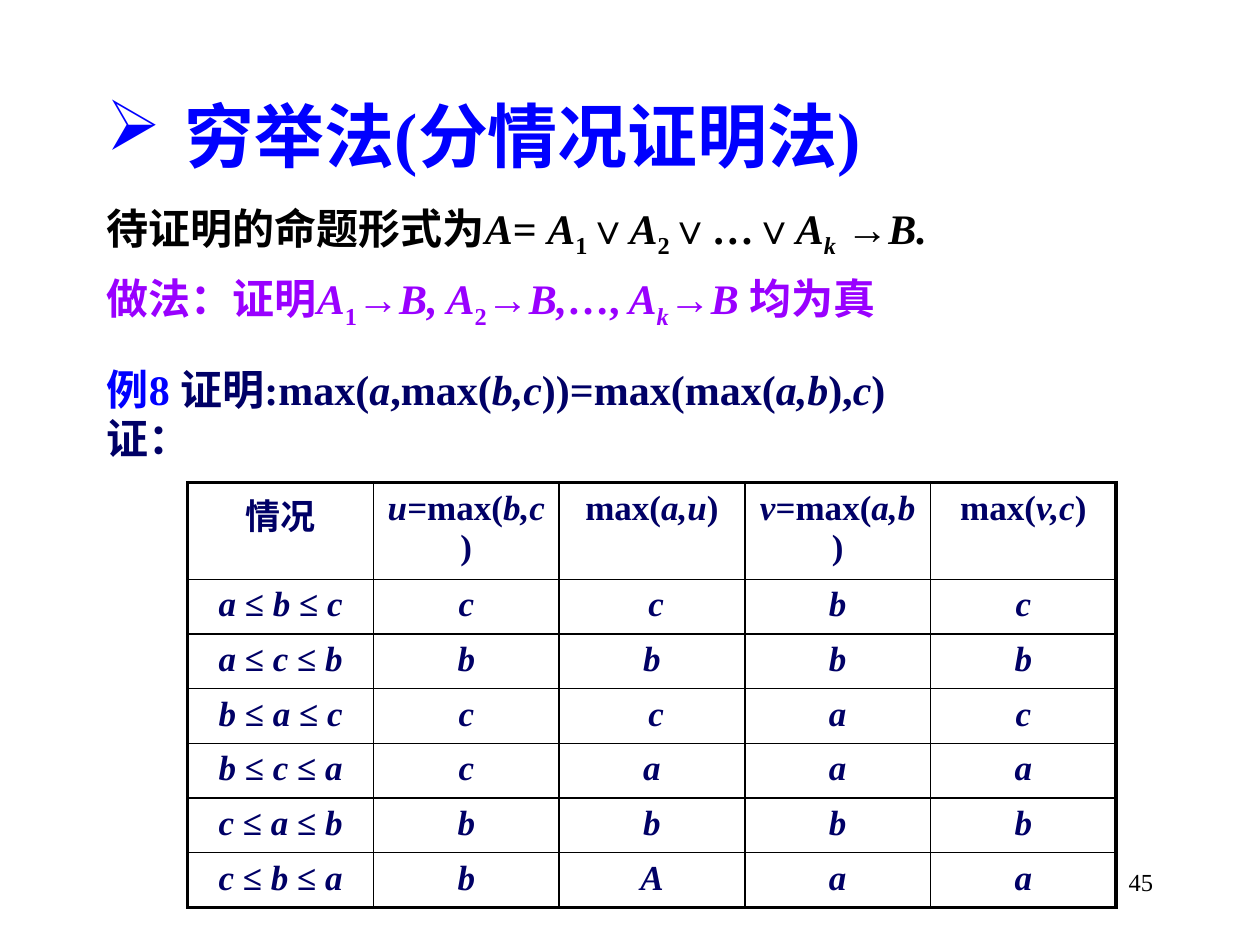
from pptx import Presentation
from pptx import util as u
from pptx.dml.color import RGBColor
from pptx.enum import text as t
from pptx.oxml import parse_xml
from pptx.oxml.ns import nsdecls

THEME = dict(font="Times New Roman", blue="0000FF", navy="000066",
             violet="9900FF", black="000000", white="FFFFFF",
             title=40, body=24, cell=20, page=14, thin=1, thick=2.25)

# Content: *...* is italic, _..._ is subscript
TITLE = "穷举法(分情况证明法)"
PAGE = "45"
METHOD = [
    [("black", "待证明的命题形式为*A*= *A*_1_∨*A*_2_∨…∨*A_k_* →*B.*")],
    [("violet", "做法：证明*A*_1_→*B, A*_2_→*B,*…,* A_k_*→*B *均为真")],
]
SAMPLE = [
    [("blue", "例8 "),
     ("navy", "证明:max(*a*,max(*b,c*))=max(max(*a,b*),*c*)")],
    [("navy", "证：")],
]
HEAD = ["情况", "*u=*max(*b,c*)", "max(*a,u*)", "*v=*max(*a,b*)", "max(*v,c*)"]
CASES = [
    ("abc", ["c", " c", "b", "c"]),
    ("acb", ["b", "b", "b", "b"]),
    ("bac", ["c", " c", "a", "c"]),
    ("bca", ["c", "a", "a", "a"]),
    ("cab", ["b", "b", "b", "b"]),
    ("cba", ["b", "A", "a", "a"]),
]


def style(font, size, color, bold=True):
    font.name, font.size, font.bold = THEME["font"], u.Pt(size), bold
    font.color.rgb = RGBColor.from_string(THEME[color])


def split(line):
    """Yield (text, italic, subscript) for each stretch of a marked line."""
    part, on = "", {"*": False, "_": False}
    for ch in line:
        if ch not in on:
            part += ch
            continue
        if part:
            yield part, on["*"], on["_"]
        part, on[ch] = "", not on[ch]
    if part:
        yield part, on["*"], on["_"]


def write(para, line, color=None):
    for part, slant, sub in split(line):
        run = para.add_run()
        run.text = part
        run.font.italic = slant
        if color:
            run.font.color.rgb = RGBColor.from_string(THEME[color])
        if sub:
            run.font._element.set("baseline", "-25000")


def box(left, top, wide, high):
    frame = slide.shapes.add_textbox(*map(u.Inches, (left, top, wide, high))).text_frame
    frame.word_wrap = True
    return frame


def indent(para, size):
    props = para._p.get_or_add_pPr()
    props.set("marL", str(u.Inches(size)))
    props.set("indent", str(-u.Inches(size)))
    return props


def block(top, lines, gap):
    frame = box(0.75, top, 8.5, 1.32)
    for n, line in enumerate(lines):
        para = frame.add_paragraph() if n else frame.paragraphs[0]
        style(para.font, THEME["body"], line[0][0])
        para.line_spacing = 0.9
        para.space_before = u.Pt(gap if n else 0)
        indent(para, 0.38)
        for color, part in line:
            write(para, part, color)


def border(cell, sides):
    props = cell._tc.get_or_add_tcPr()
    for n, (side, width) in enumerate(sides):
        props.insert(n, parse_xml(
            f'<a:ln{side} {nsdecls("a")} w="{u.Pt(width)}"><a:solidFill>'
            f'<a:srgbClr val="{THEME["black"]}"/></a:solidFill></a:ln{side}>'))


deck = Presentation()
deck.slide_width, deck.slide_height = u.Inches(10), u.Inches(7.5)
slide = deck.slides.add_slide(deck.slide_layouts[6])

# Page number
para = box(7.17, 6.83, 2.08, 0.5).paragraphs[0]
para.alignment = t.PP_ALIGN.RIGHT
style(para.font, THEME["page"], "black", False)
write(para, PAGE, "black")

# Title with arrow bullet
frame = box(0.75, 0.44, 8.5, 1.25)
frame.vertical_anchor = t.MSO_ANCHOR.MIDDLE
para = frame.paragraphs[0]
style(para.font, THEME["title"], "blue")
indent(para, 0.62).insert(0, parse_xml(f'<a:buChar {nsdecls("a")} char="➢"/>'))
write(para, TITLE, "blue")

# Method
block(1.56, METHOD, 11)

# Table of cases
rows = [HEAD] + [[f"*{' ≤ '.join(order)}*".replace("≤", "*≤*")]
                 + [f"*{val}*" for val in vals] for order, vals in CASES]
tall, wide = len(rows), len(HEAD)
grid = slide.shapes.add_table(tall, wide, u.Inches(1.49), u.Inches(3.83),
                              u.Inches(7.37), u.Inches(3.15)).table
grid.first_row = grid.horz_banding = False
for r, row in enumerate(rows):
    grid.rows[r].height = u.Inches(0.43 if r else 0.55)
    for c, line in enumerate(row):
        cell = grid.cell(r, c)
        cell.fill.solid()
        cell.fill.fore_color.rgb = RGBColor.from_string(THEME["white"])
        edges = (("L", c == 0), ("R", c == wide - 1),
                 ("T", r == 0), ("B", r == tall - 1))
        border(cell, [(side, THEME["thick" if rim else "thin"]) for side, rim in edges])
        para = cell.text_frame.paragraphs[0]
        para.alignment = t.PP_ALIGN.CENTER
        style(para.font, THEME["cell"], "navy")
        write(para, line)

# Worked sample
block(2.88, SAMPLE, 2)

deck.save("out.pptx")
